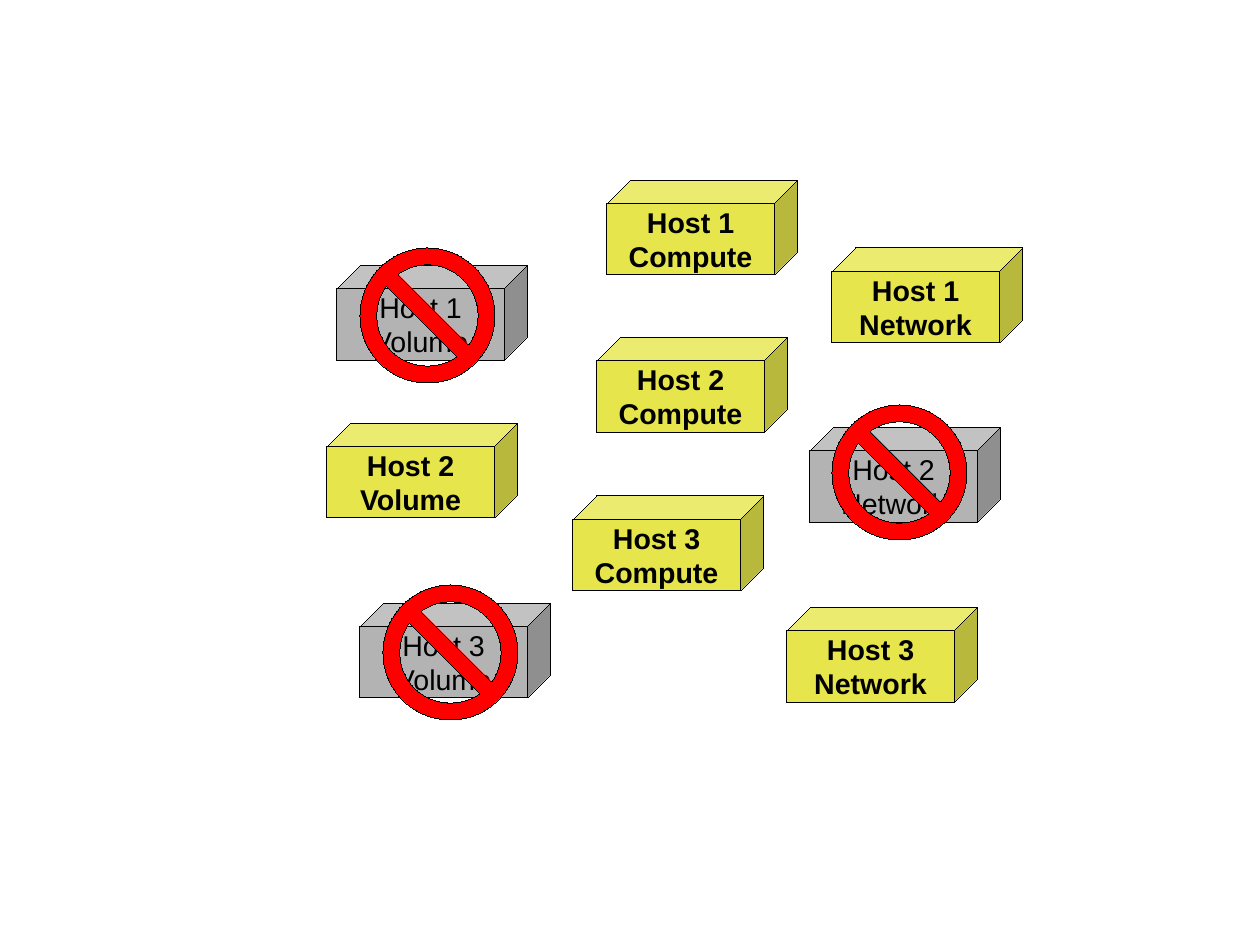
from pptx import Presentation
from pptx.dml.color import RGBColor
from pptx.enum.shapes import MSO_SHAPE as Preset
from pptx.enum.text import MSO_ANCHOR as Anchor, PP_ALIGN as Align
from pptx.util import Emu, Pt

EMU_PER_PX = 8000
SLIDE_SIZE = (1260, 945)
HOST_SIZE = (191, 95)
BAN_SIZE = (135, 135)
HAIRLINE = Pt(0.01)

RUNNING, FAILED, BAN, INK = "E6E64C", "B3B3B3", "FF0000", "000000"

HOSTS = [
    ("Host 2", "Compute", (597, 337), RUNNING),
    ("Host 1", "Volume", (337, 265), FAILED),
    ("Host 3", "Volume", (360, 603), FAILED),
    ("Host 1", "Network", (832, 248), RUNNING),
    ("Host 3", "Network", (787, 607), RUNNING),
    ("Host 1", "Compute", (607, 180), RUNNING),
    ("Host 3", "Compute", (573, 496), RUNNING),
    ("Host 2", "Volume", (327, 423), RUNNING),
    ("Host 2", "Network", (810, 427), FAILED),
]
BAN_CORNERS = [(360, 248), (383, 585), (832, 405)]


def px(length):
    return Emu(length * EMU_PER_PX)


def color(code):
    return RGBColor.from_string(code)


def add_outlined(slide, preset, corner, size, fill, adjustment):
    outlined = slide.shapes.add_shape(preset, *map(px, corner + size))
    outlined.adjustments[0] = adjustment
    outlined.shadow.inherit = False
    outlined.fill.solid()
    outlined.fill.fore_color.rgb = color(fill)
    outlined.line.color.rgb = color(INK)
    outlined.line.width = HAIRLINE
    return outlined


def write(frame, lines, size=18, bold=False, ink=INK, font="Arial", align=Align.CENTER):
    frame.word_wrap = True
    frame.vertical_anchor = Anchor.MIDDLE
    frame.text = "\n".join(lines)
    for paragraph in frame.paragraphs:
        paragraph.alignment = align
        for run in paragraph.runs:
            run.font.name = font
            run.font.size = Pt(size)
            run.font.bold = bold
            run.font.color.rgb = color(ink)


def add_host(slide, host, service, corner, state):
    cube = add_outlined(slide, Preset.CUBE, corner, HOST_SIZE, state, 0.25)
    write(cube.text_frame, [host, service], bold=state == RUNNING)


def add_ban(slide, corner):
    add_outlined(slide, Preset.NO_SYMBOL, corner, BAN_SIZE, BAN, 0.125)


def main():
    deck = Presentation()
    deck.slide_width, deck.slide_height = map(px, SLIDE_SIZE)
    slide = deck.slides.add_slide(deck.slide_layouts[6])
    for host in HOSTS:
        add_host(slide, *host)
    for corner in BAN_CORNERS:
        add_ban(slide, corner)
    deck.save("out.pptx")


if __name__ == "__main__":
    main()
